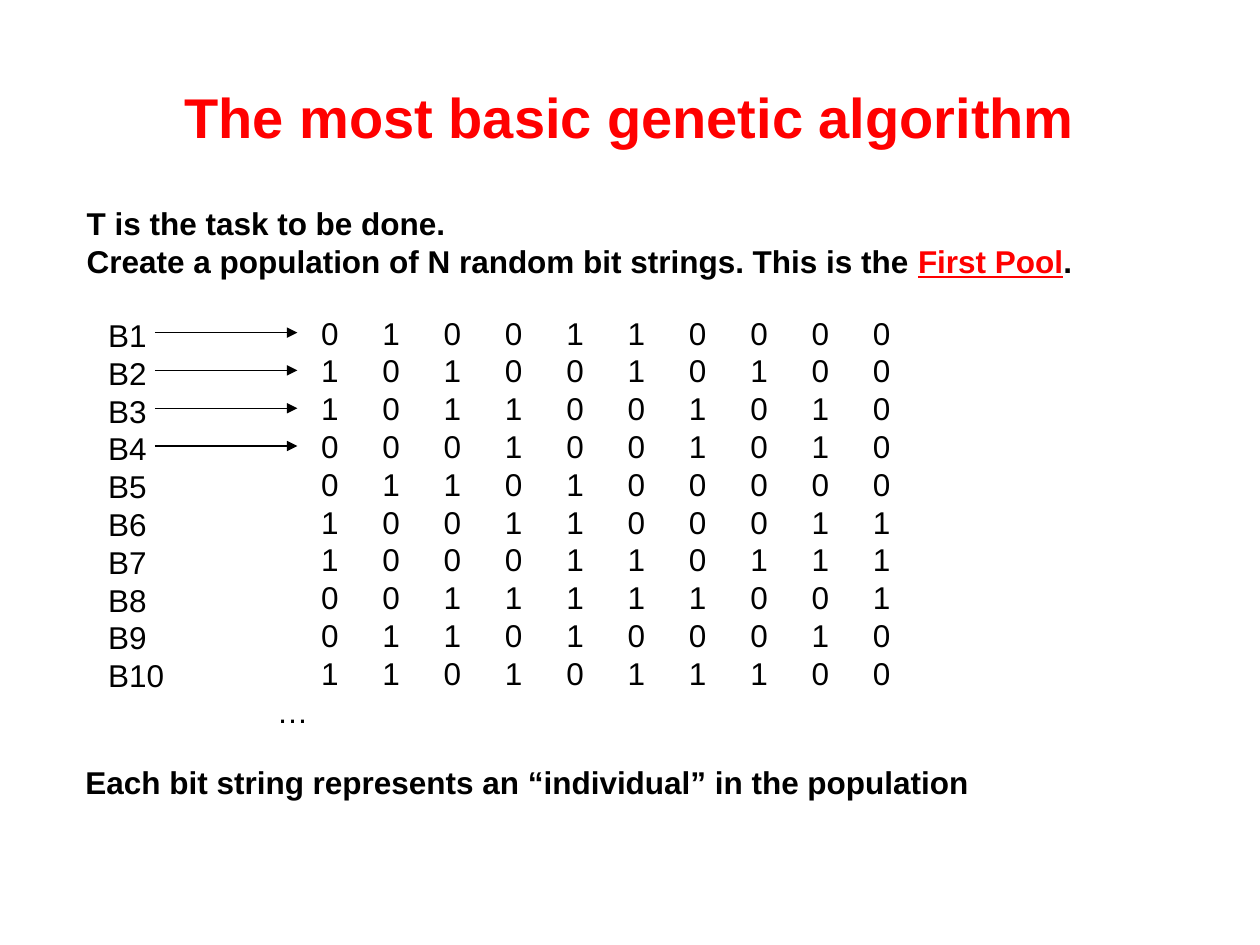
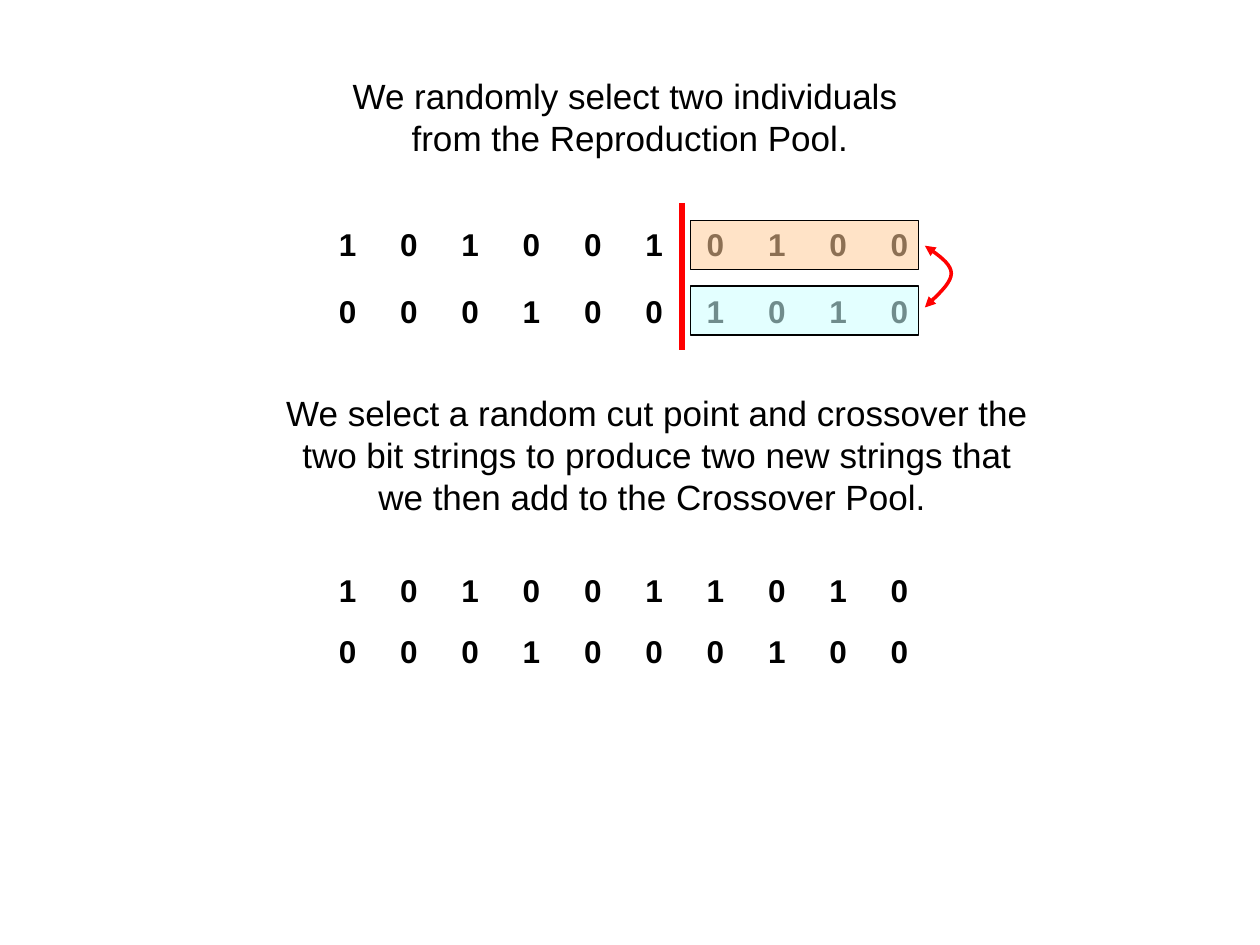
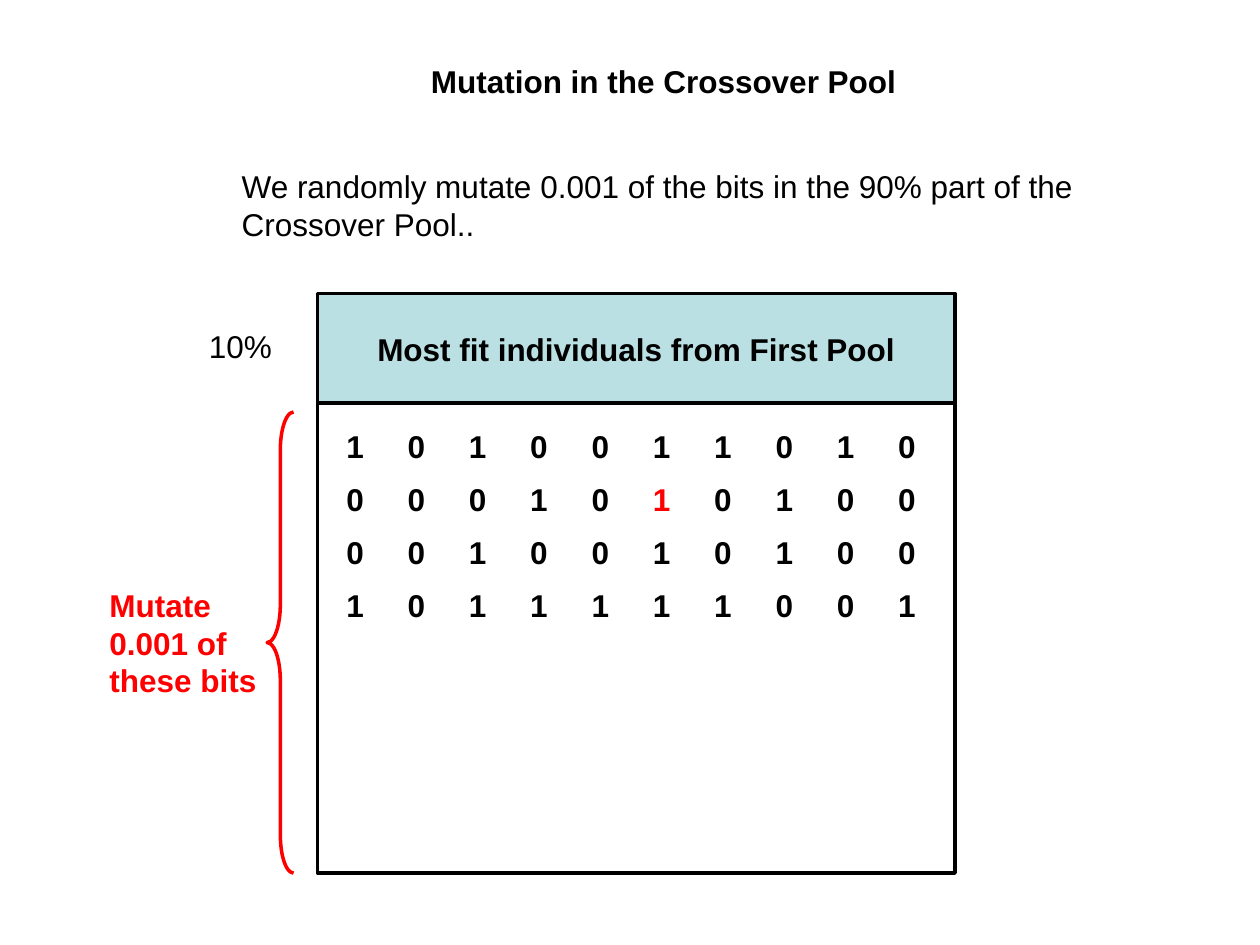
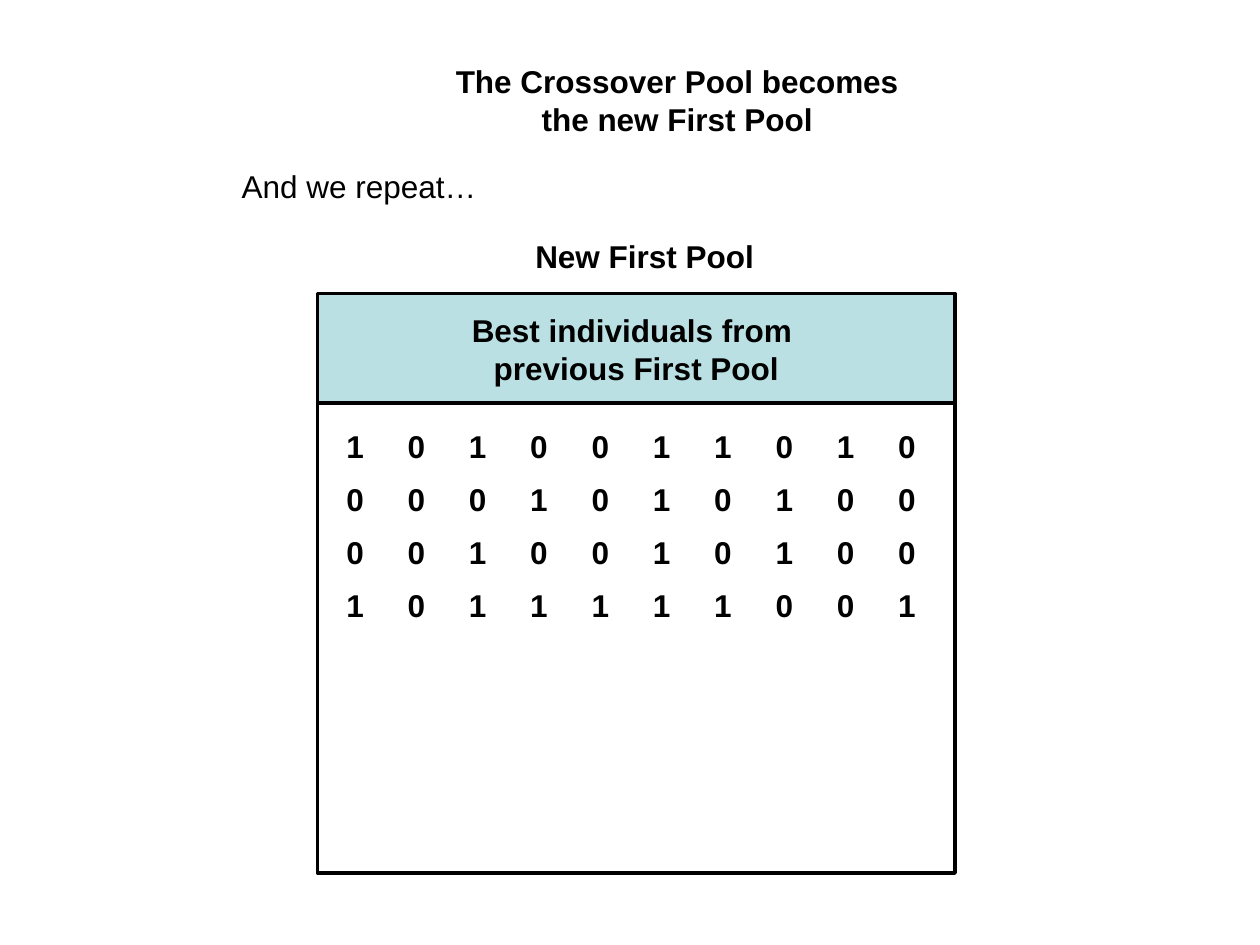
from dataclasses import dataclass
from typing import Any, NamedTuple

from lxml.etree import SubElement
from pptx import Presentation
from pptx.dml.color import RGBColor
from pptx.enum.shapes import MSO_CONNECTOR, MSO_SHAPE
from pptx.enum.text import MSO_ANCHOR, MSO_AUTO_SIZE, PP_ALIGN
from pptx.oxml.ns import qn
from pptx.util import Inches, Pt

# Shared look
BLACK, RED, WHITE = "000000", "FF0000", "FFFFFF"
BAND_BLUE, PEACH, PALE_CYAN = "BBE0E3", "FFCC99", "CCFFFF"
FONT = "Arial"
BODY_SIZE = 18
BIT_SPAN = 4.38  # from the first bit of a string to the tenth
BIT_COUNT = 10
FRAME = {
    "word_wrap": True, "auto_size": MSO_AUTO_SIZE.NONE,
    "margin_left": Inches(0.1), "margin_right": Inches(0.1),
    "margin_top": Inches(0.05), "margin_bottom": Inches(0.05),
}


class Box(NamedTuple):
    left: float
    top: float
    width: float
    height: float

    def emu(self) -> list[int]:
        return [Inches(length) for length in self]


class Point(NamedTuple):
    x: float
    y: float


@dataclass(frozen=True)
class Run:
    text: str
    color: str = BLACK
    underline: bool = False


@dataclass(frozen=True)
class Style:
    size: int = BODY_SIZE
    bold: bool = False
    align: PP_ALIGN = PP_ALIGN.LEFT
    anchor: MSO_ANCHOR = MSO_ANCHOR.TOP
    first_bit: float | None = None  # tab stops start here when set


@dataclass(frozen=True)
class Outline:
    color: str = BLACK
    width: float = 0.75
    ends: tuple[str, ...] = ()


PLAIN, BOLD = Style(), Style(bold=True)
BIT_STYLE = Style(bold=True, first_bit=0)
BAND_STYLE = Style(bold=True, align=PP_ALIGN.CENTER, anchor=MSO_ANCHOR.MIDDLE)
CENTRED = Style(20, align=PP_ALIGN.CENTER, anchor=MSO_ANCHOR.MIDDLE)
MAIN_TITLE = Style(32, True, PP_ALIGN.CENTER, MSO_ANCHOR.MIDDLE)
TITLE_BOX = Box(0.5, 0.3, 9, 1.25)
BOLD_LINE = Outline(width=2)

Line = list[Run]


def rgb(color: str) -> RGBColor:
    return RGBColor.from_string(color)


def set_values(target: Any, values: dict[str, Any]) -> None:
    for attribute, value in values.items():
        setattr(target, attribute, value)


# Text
def add_bit_tabs(paragraph: Any, first_bit: float) -> None:
    tabs = SubElement(paragraph._p.get_or_add_pPr(), qn("a:tabLst"))
    for index in range(BIT_COUNT):
        position = Inches(first_bit + BIT_SPAN * index / (BIT_COUNT - 1))
        if position:
            SubElement(tabs, qn("a:tab"), pos=str(int(position)), algn="l")


def write(frame: Any, lines: list[Line], style: Style) -> None:
    set_values(frame, FRAME | {"vertical_anchor": style.anchor})
    for index, line in enumerate(lines):
        paragraph = frame.add_paragraph() if index else frame.paragraphs[0]
        if style.first_bit is not None:
            add_bit_tabs(paragraph, style.first_bit)
        paragraph.alignment = style.align
        for part in line:
            if part.text == "\v":
                paragraph.add_line_break()
                continue
            run = paragraph.add_run()
            run.text = part.text
            set_values(run.font, {"name": FONT, "size": Pt(style.size),
                                  "bold": style.bold, "underline": part.underline})
            run.font.color.rgb = rgb(part.color)


def lines_of(*texts: str, color: str = BLACK) -> list[Line]:
    return [[Run(text, color)] for text in texts]


def add_text(slide: Any, box: Box, lines: list[Line], style: Style = PLAIN) -> None:
    write(slide.shapes.add_textbox(*box.emu()).text_frame, lines, style)


def add_titled_slide(deck: Any, box: Box, line: Line, style: Style) -> Any:
    slide = deck.slides.add_slide(deck.slide_layouts[5])
    title = slide.shapes.title
    set_values(title, dict(zip(("left", "top", "width", "height"), box.emu())))
    write(title.text_frame, [line], style)
    return slide


def add_bits(slide: Any, left: float, top: float, bits: str, mutated: int = -1) -> None:
    line = [Run(("\t" if index else "") + bit, RED if index == mutated else BLACK)
            for index, bit in enumerate(bits)]
    add_text(slide, Box(left, top, 4.75, 0.4), [line], BIT_STYLE)


# Shapes and lines
def draw_outline(shape: Any, outline: Outline) -> None:
    shape.line.color.rgb = rgb(outline.color)
    shape.line.width = Pt(outline.width)
    for end in outline.ends:
        SubElement(shape.line._get_or_add_ln(), qn(f"a:{end}"), type="triangle")


def add_line(slide: Any, start: Point, end: Point, outline: Outline) -> None:
    connector = slide.shapes.add_connector(
        MSO_CONNECTOR.STRAIGHT, *(Inches(length) for length in start + end))
    draw_outline(connector, outline)
    SubElement(connector._element.spPr, qn("a:effectLst"))


def add_panel(slide: Any, box: Box, fill: str, outline: Outline, opacity: int = 100) -> Any:
    panel = slide.shapes.add_shape(MSO_SHAPE.RECTANGLE, *box.emu())
    panel.shadow.inherit = False
    panel.fill.solid()
    panel.fill.fore_color.rgb = rgb(fill)
    if opacity < 100:
        color = panel._element.spPr.find(f"{qn('a:solidFill')}/{qn('a:srgbClr')}")
        SubElement(color, qn("a:alpha"), val=str(opacity * 1000))
    draw_outline(panel, outline)
    return panel


def curve_points(*controls: Point, steps: int = 10) -> list[tuple[int, int]]:
    """Points along a cubic curve, without its start."""
    points = []
    for step in range(1, steps + 1):
        t = step / steps
        weights = ((1 - t) ** 3, 3 * t * (1 - t) ** 2, 3 * t * t * (1 - t), t ** 3)
        points.append(tuple(
            Inches(sum(w * c for w, c in zip(weights, axis))) for axis in zip(*controls)))
    return points


def add_swap_arrow(slide: Any) -> None:
    top, middle, bottom = Point(7.34, 1.95), Point(7.55, 2.17), Point(7.34, 2.44)
    builder = slide.shapes.build_freeform(Inches(top.x), Inches(top.y))
    builder.add_line_segments(
        curve_points(top, Point(7.44, 2.02), Point(7.55, 2.09), middle)
        + curve_points(middle, Point(7.55, 2.25), Point(7.44, 2.34), bottom), close=False)
    arrow = builder.convert_to_shape()
    arrow.shadow.inherit = False
    arrow.fill.background()
    draw_outline(arrow, Outline(RED, 2, ("headEnd", "tailEnd")))


def add_pool(slide: Any, heading: list[Line], mutated_row: int = -1) -> None:
    """Band of kept individuals above the strings made by crossover."""
    band = add_panel(slide, Box(2.52, 2.33, 5.06, 0.88), BAND_BLUE, BOLD_LINE)
    write(band.text_frame, heading, BAND_STYLE)
    add_panel(slide, Box(2.52, 3.2, 5.06, 3.73), WHITE, BOLD_LINE)
    for row, bits in enumerate(("1010011010", "0001010100", "0010010100", "1011111001")):
        add_bits(slide, 2.65, 3.34 + 0.42 * row, bits, 5 if row == mutated_row else -1)


# Slides
def build_first_pool(deck: Any) -> None:
    slide = add_titled_slide(
        deck, TITLE_BOX, [Run("The most basic genetic algorithm", RED)], MAIN_TITLE)
    add_text(slide, Box(0.59, 1.57, 8.47, 0.7), [
        [Run("T is the task to be done.")],
        [Run("Create a population of N random bit strings. This is the "),
         Run("First Pool", RED, underline=True), Run(".")],
    ], BOLD)
    population = ("0100110000", "1010010100", "1011001010", "0001001010", "0110100000",
                  "1001100011", "1000110111", "0011111001", "0110100010", "1101011100")
    rows = ["".join(f"\t{bit}" for bit in bits) for bits in population]
    add_text(slide, Box(2.1, 2.44, 5.1, 3.4), lines_of(*rows, "…"), Style(first_bit=0.35))
    labels = [f"B{number}" for number in range(1, len(population) + 1)]
    add_text(slide, Box(0.76, 2.46, 0.7, 3.1), lines_of(*labels))
    for row in range(4):
        y = 2.64 + 0.3 * row
        add_line(slide, Point(1.23, y), Point(2.36, y), Outline(ends=("tailEnd",)))
    add_text(slide, Box(0.58, 6.01, 7.3, 0.4),
             lines_of("Each bit string represents an “individual” in the population"), BOLD)


def build_crossover(deck: Any) -> None:
    slide = add_titled_slide(
        deck, TITLE_BOX,
        [Run("We randomly select two individuals "), Run("\v"),
         Run("from the Reproduction Pool.")], CENTRED)
    for top, bits in ((1.74, "1010010100"), (2.27, "0001001010"),
                      (4.48, "1010011010"), (4.97, "0001000100")):
        add_bits(slide, 2.59, top, bits)
    add_text(slide, Box(2.16, 3.04, 6.11, 1.14), lines_of(
        "We select a random cut point and crossover the two bit strings to produce "
        "two new strings that we then add to the Crossover Pool. "), CENTRED)
    # Cut point and the tails that change places
    add_line(slide, Point(5.41, 1.61), Point(5.41, 2.78), Outline(RED, 3.5))
    for top, fill in ((1.75, PEACH), (2.27, PALE_CYAN)):
        add_panel(slide, Box(5.48, top, 1.81, 0.39), fill, Outline(), opacity=55)
    add_swap_arrow(slide)


def build_mutation(deck: Any) -> None:
    slide = add_titled_slide(
        deck, Box(3.32, 0.44, 4.11, 0.4), [Run("Mutation in the Crossover Pool")], BOLD)
    add_text(slide, Box(1.82, 1.28, 6.87, 0.7), lines_of(
        "We randomly mutate 0.001 of the bits in the 90% part of the Crossover Pool.."))
    add_pool(slide, lines_of("Most fit individuals from First Pool"), mutated_row=1)
    add_text(slide, Box(1.56, 2.55, 0.75, 0.4), lines_of("10%"))
    # Brace over the mutated part
    brace = slide.shapes.add_shape(MSO_SHAPE.LEFT_BRACE, *Box(2.12, 3.27, 0.21, 3.66).emu())
    brace.shadow.inherit = False
    brace.fill.background()
    brace.adjustments[0] = 1.43
    draw_outline(brace, Outline(RED, 2))
    add_text(slide, Box(0.77, 4.6, 1.62, 1),
             lines_of("Mutate 0.001 of these bits", color=RED), BOLD)


def build_new_pool(deck: Any) -> None:
    slide = add_titled_slide(
        deck, Box(3.32, 0.44, 4.11, 0.7),
        [Run("The Crossover Pool becomes the new First Pool")],
        Style(bold=True, align=PP_ALIGN.CENTER))
    add_text(slide, Box(1.82, 1.28, 2.71, 0.4), lines_of("And we repeat…"))
    add_pool(slide, lines_of("Best individuals from ", "previous First Pool"))
    add_text(slide, Box(4.15, 1.83, 2, 0.4), lines_of("New First Pool"), BOLD)


def main() -> None:
    deck = Presentation()
    deck.slide_width, deck.slide_height = Inches(10), Inches(7.5)
    for build in (build_first_pool, build_crossover, build_mutation, build_new_pool):
        build(deck)
    deck.save("out.pptx")


if __name__ == "__main__":
    main()
